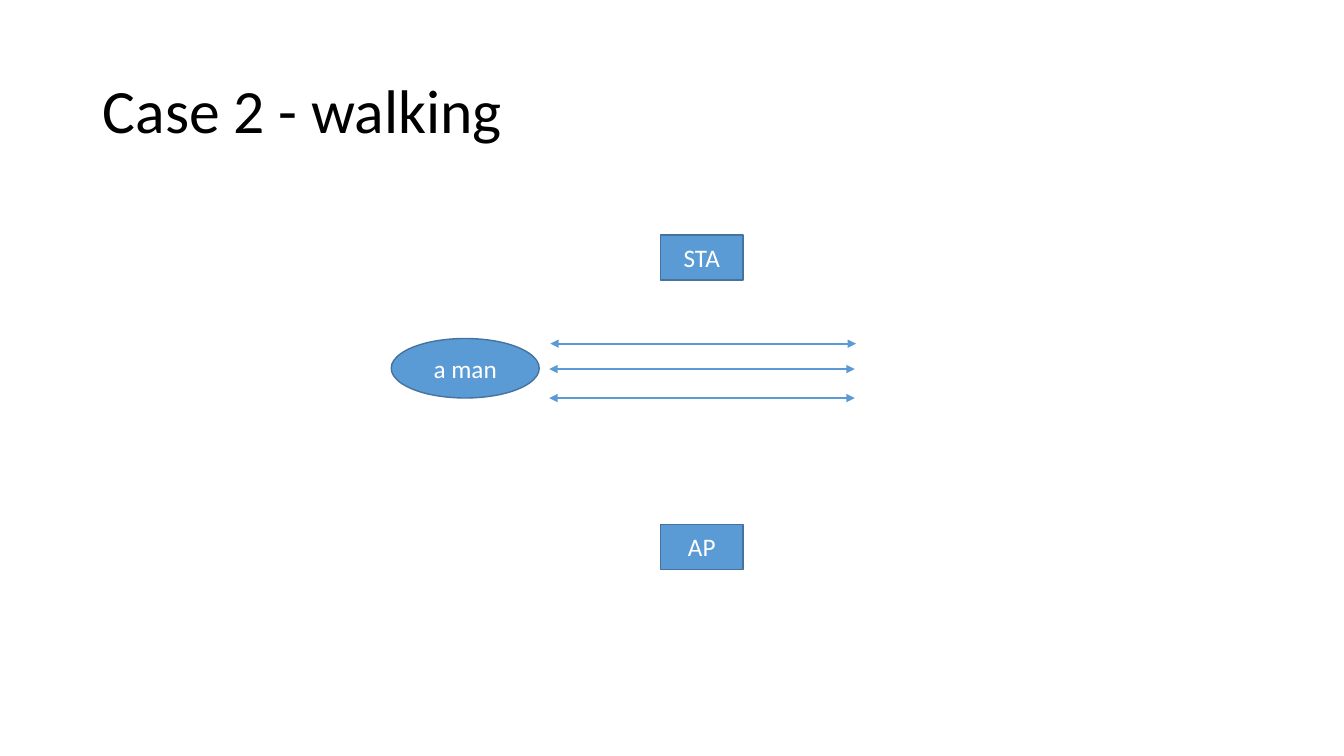
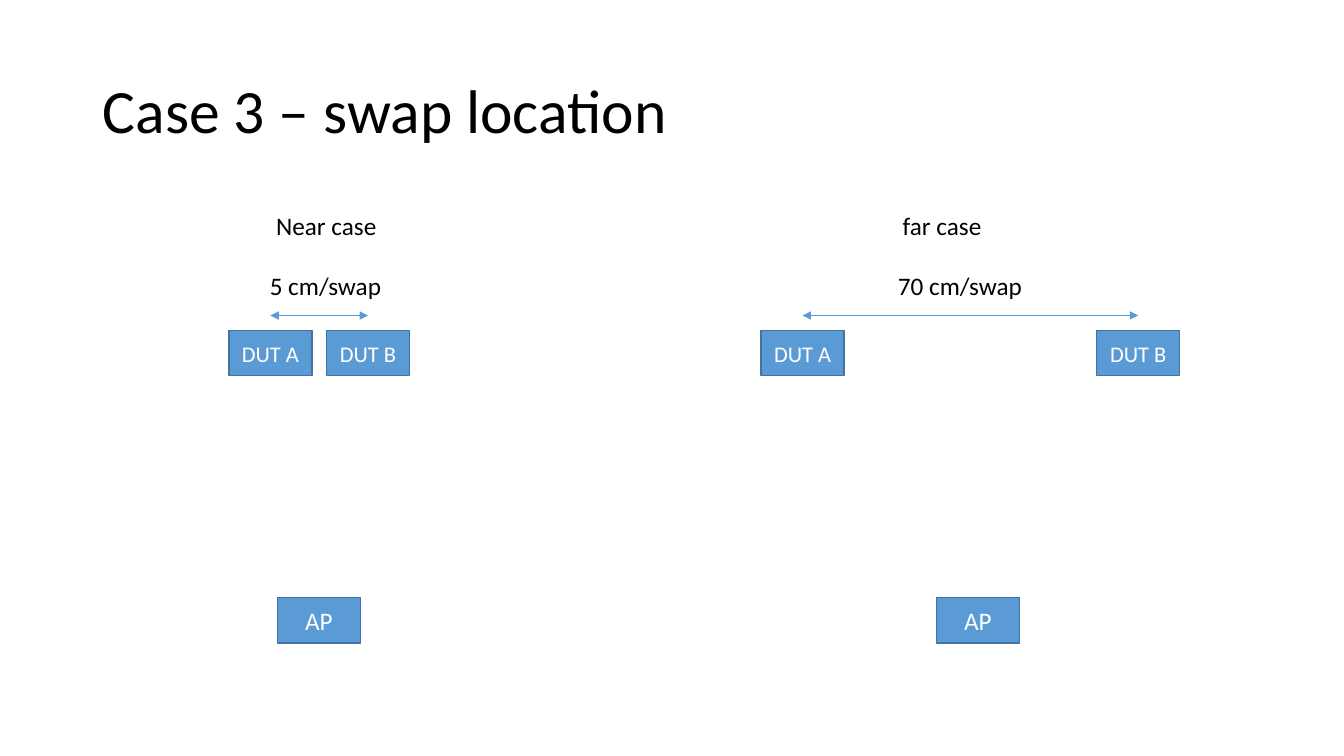
from lxml.etree import SubElement
from pptx import Presentation
from pptx.dml.color import RGBColor
from pptx.enum.shapes import MSO_CONNECTOR, MSO_SHAPE
from pptx.enum.text import MSO_ANCHOR, PP_ALIGN
from pptx.oxml.ns import qn
from pptx.util import Cm, Pt

BLUE = RGBColor(0x5B, 0x9B, 0xD5)
EDGE = RGBColor(0x43, 0x73, 0x9E)
BLACK = RGBColor(0, 0, 0)
WHITE = RGBColor(255, 255, 255)
FONT = "Calibri"

SLIDE = (33.87, 19.05)
TITLE = (2.34, 1.02, 29.21, 3.68)
BOX = (2.09, 1.14)

# Walking: all lengths in cm
WALK_TITLE = "Case 2 - walking"
STATIONS = [("AP", 16.64, 13.21), ("STA", 16.64, 5.92)]
MAN = ("a man", 9.86, 8.53, 3.73, 1.5)
PATHS = [(13.87, 8.66), (13.84, 9.3), (13.84, 10.03)]
PATH_LEN = 7.7

# Swapping: labels are (text, left, width)
SWAP_TITLE = "Case 3 – swap location"
CASES = [
    {"name": ("Near case", 6.71, 3.07), "gap": ("5 cm/swap", 6.55, 3.35),
     "duts": [("DUT A", 5.77), ("DUT B", 8.23)], "ap": 6.99},
    {"name": ("far case", 22.5, 2.51), "gap": ("70 cm/swap", 22.38, 3.68),
     "duts": [("DUT A", 19.18), ("DUT B", 27.64)], "ap": 23.6},
]
NAME_Y, GAP_Y, ARROW_Y, DUT_Y, AP_Y = 5.18, 6.68, 7.95, 8.33, 15.06
LABEL_H = 1.02


def write(shape, text, size, color, align=PP_ALIGN.LEFT,
          anchor=MSO_ANCHOR.MIDDLE, wrap=True):
    frame = shape.text_frame
    frame.word_wrap = wrap
    frame.vertical_anchor = anchor
    para = frame.paragraphs[0]
    para.alignment = align
    run = para.add_run()
    run.text = text
    style = {"name": FONT, "size": Pt(size)}
    for key, value in style.items():
        setattr(run.font, key, value)
    run.font.color.rgb = color
    return para


def add_node(slide, text, x, y, w=BOX[0], h=BOX[1], size=18,
             kind=MSO_SHAPE.RECTANGLE):
    node = slide.shapes.add_shape(kind, Cm(x), Cm(y), Cm(w), Cm(h))
    node.shadow.inherit = False
    node.fill.solid()
    node.fill.fore_color.rgb = BLUE
    node.line.color.rgb = EDGE
    node.line.width = Pt(1)
    write(node, text, size, WHITE, PP_ALIGN.CENTER)


def add_label(slide, label, y):
    text, x, w = label
    box = slide.shapes.add_textbox(Cm(x), Cm(y), Cm(w), Cm(LABEL_H))
    write(box, text, 18, BLACK, anchor=MSO_ANCHOR.TOP, wrap=False)


def add_arrow(slide, start, end, y, width):
    """Draw a level line with a triangle at both ends."""
    arrow = slide.shapes.add_connector(
        MSO_CONNECTOR.STRAIGHT, Cm(start), Cm(y), Cm(end), Cm(y))
    arrow.line.color.rgb = BLUE
    arrow.line.width = Pt(width)
    line = arrow.line._get_or_add_ln()
    for tag in ("a:headEnd", "a:tailEnd"):
        SubElement(line, qn(tag), type="triangle")
    SubElement(arrow._element.spPr, qn("a:effectLst"))


def add_slide(deck, title):
    slide = deck.slides.add_slide(deck.slide_layouts[6])
    box = slide.shapes.add_textbox(*map(Cm, TITLE))
    write(box, title, 44, BLACK).line_spacing = 0.9
    return slide


def draw_walk(deck):
    slide = add_slide(deck, WALK_TITLE)
    for station in STATIONS:
        add_node(slide, *station)
    add_node(slide, *MAN, kind=MSO_SHAPE.OVAL)
    for x, y in PATHS:
        add_arrow(slide, x, x + PATH_LEN, y, 1.5)


def draw_swap(deck):
    slide = add_slide(deck, SWAP_TITLE)
    for case in CASES:
        add_node(slide, "AP", case["ap"], AP_Y)
        for name, x in case["duts"]:
            add_node(slide, name, x, DUT_Y, size=16)
        add_label(slide, case["name"], NAME_Y)
        start, end = (x + BOX[0] / 2 for _, x in case["duts"])
        add_arrow(slide, start, end, ARROW_Y, 0.5)
        add_label(slide, case["gap"], GAP_Y)


def main():
    deck = Presentation()
    deck.slide_width, deck.slide_height = map(Cm, SLIDE)
    draw_walk(deck)
    draw_swap(deck)
    deck.save("out.pptx")


if __name__ == "__main__":
    main()
